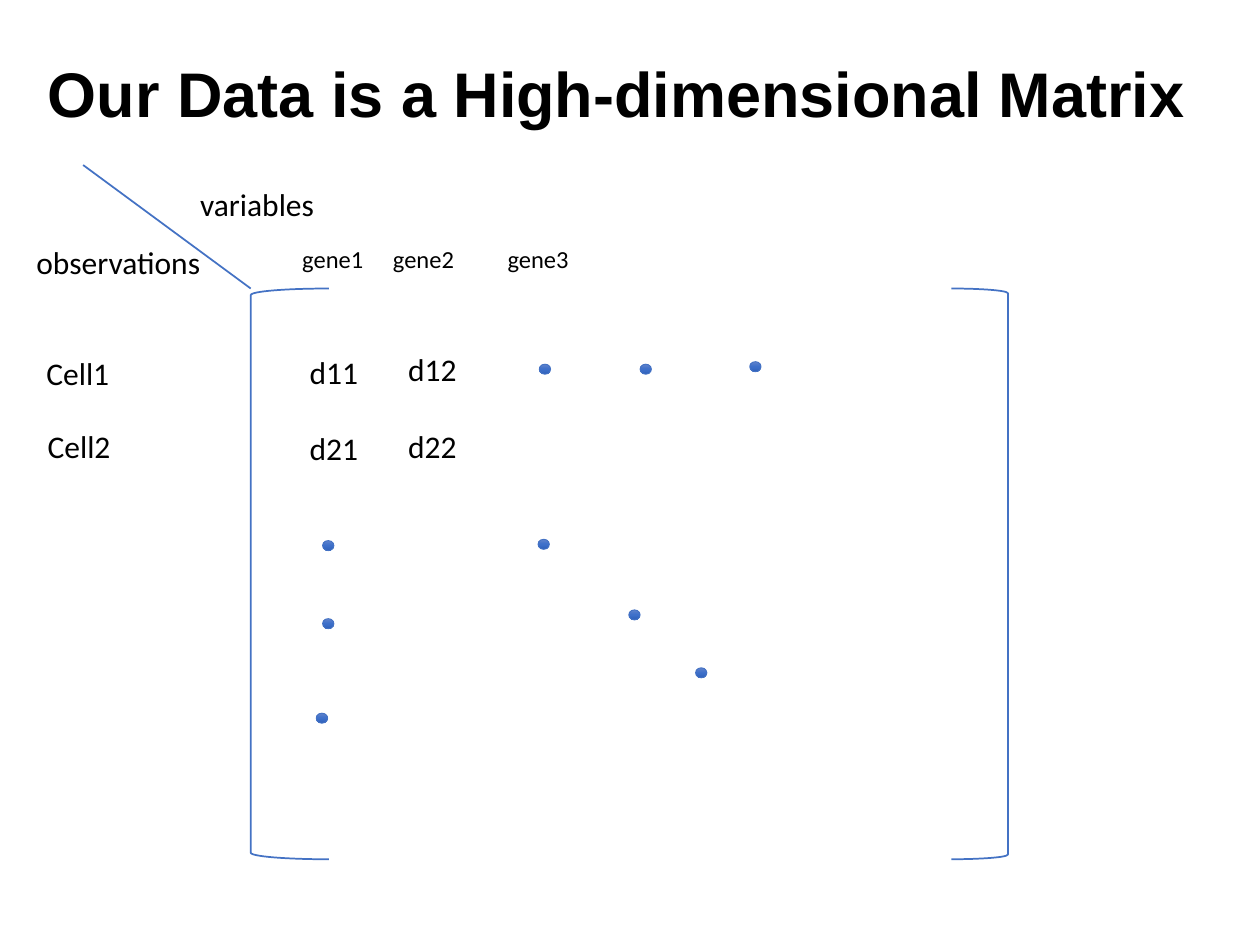
from copy import deepcopy

from lxml import etree
from pptx import Presentation
from pptx.dml.color import RGBColor
from pptx.enum.shapes import MSO_CONNECTOR, MSO_SHAPE
from pptx.enum.text import MSO_ANCHOR, MSO_AUTO_SIZE, PP_ALIGN
from pptx.oxml.ns import qn
from pptx.util import Inches, Pt

LEFT_BRACKET, RIGHT_BRACKET = MSO_SHAPE.LEFT_BRACKET, MSO_SHAPE.RIGHT_BRACKET
OVAL, STRAIGHT = MSO_SHAPE.OVAL, MSO_CONNECTOR.STRAIGHT
MIDDLE, LEFT = MSO_ANCHOR.MIDDLE, PP_ALIGN.LEFT
FIT_SHAPE = MSO_AUTO_SIZE.SHAPE_TO_FIT_TEXT
BLACK, BLUE = "000000", "4472C4"
DOT_SHADES = [(0, "6183CB"), (0.5, "3E70CA"), (1, "3062BB")]


def color(hex_code):
    return RGBColor.from_string(hex_code)


def place(columns, rows, width, height):
    return [round(columns * COL), round(rows * ROW),
            round(width * COL), round(height * ROW)]


deck = Presentation()
deck.slide_width, deck.slide_height = Inches(10), Inches(7.5)
COL, ROW = deck.slide_width / 100, deck.slide_height / 75
slide = deck.slides.add_slide(deck.slide_layouts[5])
shapes = slide.shapes

heading = shapes.title
heading.left, heading.top, heading.width, heading.height = place(2.8, 4, 94.7, 7.4)
heading.text_frame.text = "Our Data is a High-dimensional Matrix"
heading.text_frame.vertical_anchor = MIDDLE
heading_line = heading.text_frame.paragraphs[0]
heading_line.alignment = LEFT
heading_line.line_spacing = 0.9
heading_font = heading_line.runs[0].font
heading_font.name, heading_font.size, heading_font.bold = "Arial", Pt(36), True
heading_font.color.rgb = color(BLACK)

matrix_left, matrix_top, matrix_height = 19.9, 22.9, 45.3
for kind, left, width in [(LEFT_BRACKET, matrix_left, 6.2), (RIGHT_BRACKET, 75.5, 4.5)]:
    bracket = shapes.add_shape(kind, *place(left, matrix_top, width, matrix_height))
    bracket.shadow.inherit = False
    bracket.fill.background()
    bracket.line.color.rgb = color(BLUE)
    bracket.line.width = Pt(1)

row_dots = [(42.8, 28.9), (50.8, 28.9), (59.5, 28.7)]
column_dots = [(25.6, 42.9), (25.6, 49.1), (25.1, 56.6)]
diagonal_dots = [(42.7, 42.8), (49.9, 48.4), (55.2, 53)]
for left, top in row_dots + column_dots + diagonal_dots:
    dot = shapes.add_shape(OVAL, *place(left, top, 0.9, 0.8))
    dot.shadow.inherit = False
    dot.line.color.rgb = color(BLUE)
    dot.line.width = Pt(0.5)
    dot.fill.gradient()
    dot.fill.gradient_angle = 270
    stop_list = dot._element.spPr.find(qn("a:gradFill")).find(qn("a:gsLst"))
    stop_list.append(deepcopy(stop_list[-1]))
    for stop, (position, shade) in zip(dot.fill.gradient_stops, DOT_SHADES):
        stop.position = position
        stop.color.rgb = color(shade)

entries = [
    (f"d{row}{column}", left, top - 0.2 * (column - 1), 5.9, 18)
    for row, top in [(1, 27.5), (2, 33.6)]
    for column, left in [(1, 23.6), (2, 31.4)]
]
genes = [(f"gene{number}", left, 18.9, 6.9, 14)
         for number, left in enumerate([23, 30.2, 39.3], 1)]
cells = [("Cell1", 2.7, 27.6, 7.1, 18), ("Cell2", 2.8, 33.4, 7.1, 18)]
axes = [("observations", 1.9, 18.8, 15.2, 18), ("variables", 14.9, 14.2, 11.2, 18)]
for wording, left, top, width, size in entries + genes + cells + axes:
    label = shapes.add_textbox(*place(left, top, width, 4 if size == 18 else 3.4))
    frame = label.text_frame
    frame.text = wording
    frame.word_wrap = False
    frame.auto_size = FIT_SHAPE
    font = frame.paragraphs[0].runs[0].font
    font.name, font.size = "Calibri", Pt(size)
    font.color.rgb = color(BLACK)

axis_divider = shapes.add_connector(
    STRAIGHT, *place(matrix_left, matrix_top, 6.6, 13.1))
axis_divider.line.color.rgb = color(BLUE)
axis_divider.line.width = Pt(1)
etree.SubElement(axis_divider._element.spPr, qn("a:effectLst"))

deck.save("out.pptx")
